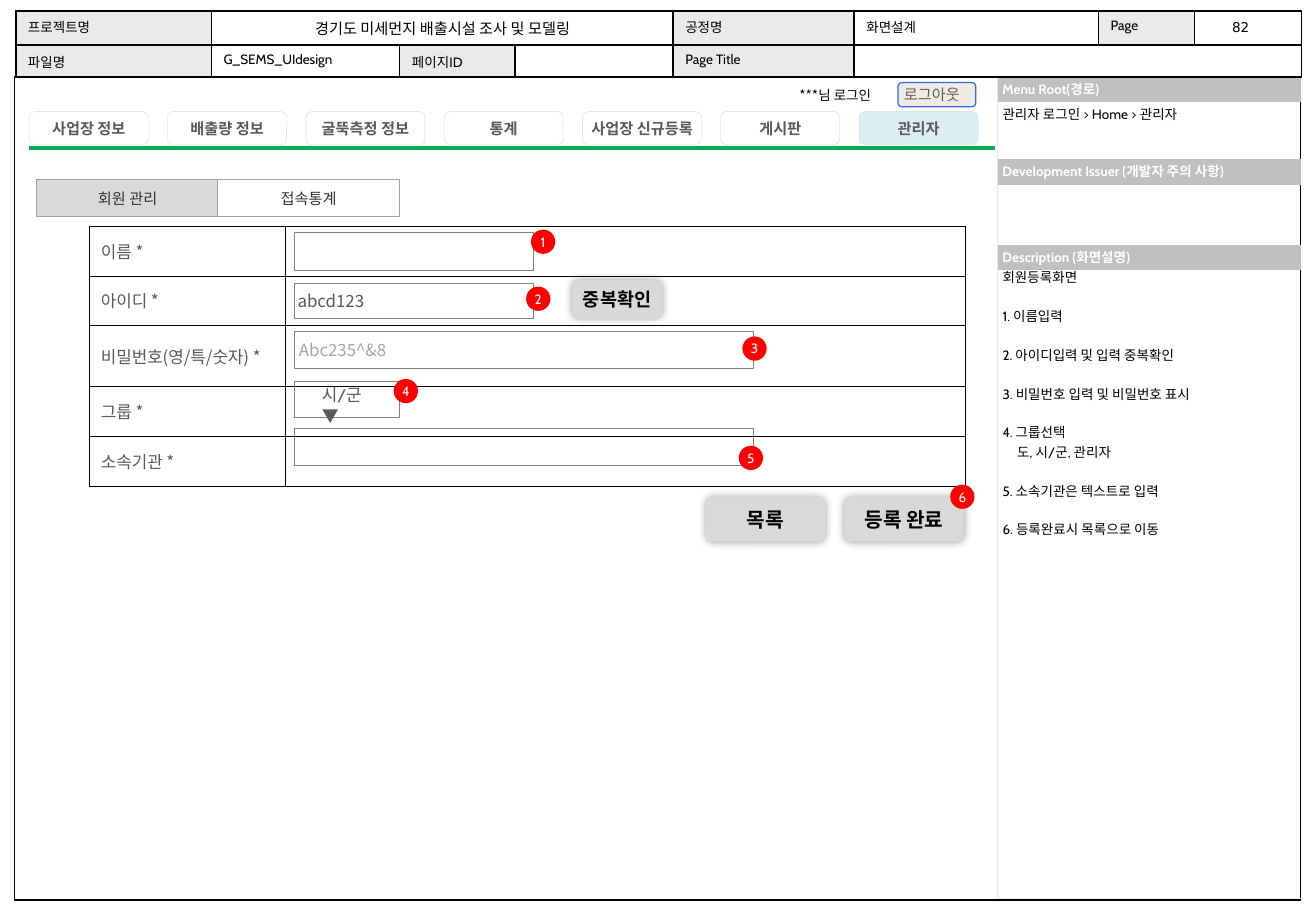
"""Build the member registration screen design page."""
from dataclasses import dataclass

from lxml.etree import SubElement
from pptx import Presentation
from pptx.dml.color import RGBColor
from pptx.enum.shapes import MSO_CONNECTOR, MSO_SHAPE as SHAPE
from pptx.enum.text import MSO_ANCHOR as ANCHOR, PP_ALIGN as ALIGN
from pptx.oxml.ns import qn
from pptx.util import Inches, Pt


@dataclass(frozen=True)
class Theme:
    black: str = "000000"
    white: str = "FFFFFF"
    text: str = "595959"
    tab_text: str = "333333"
    logout_text: str = "5F5F5F"
    hint: str = "A6A6A6"
    label: str = "EAEAEA"
    band: str = "C0C0C0"
    cream: str = "EEECE1"
    button: str = "D9D9D9"
    active: str = "DBEEF4"
    tab_line: str = "A0A0A0"
    field_line: str = "808080"
    blue: str = "3366FF"
    green: str = "00B050"
    red: str = "FF0000"
    small: int = 8
    medium: int = 9
    form: int = 10
    check: int = 11
    large: int = 12
    cabin: str = "Cabin"
    karla: str = "Karla"
    noto: str = "Noto Sans CJK KR"
    dejavu: str = "DejaVu Sans"


theme = Theme()
deck = Presentation()
deck.slide_width, deck.slide_height = Inches(10.83), Inches(7.5)
page = deck.slides.add_slide(deck.slide_layouts[6])


def write(para, text, size, color=theme.black, font=theme.cabin, bold=False, align=ALIGN.LEFT, spacing=None):
    """Fill one paragraph and set its type."""
    para.text = text
    para.alignment = align
    para.line_spacing = spacing
    para.font.size = Pt(size)
    para.font.bold = bold
    para.font.color.rgb = RGBColor.from_string(color)
    para.font.name = font
    SubElement(para._p.pPr.find(qn("a:defRPr")), qn("a:ea"), typeface=theme.noto)
    if not text:
        SubElement(para._p, qn("a:endParaRPr"), sz=str(size * 100))


def draw(kind, place, fill=None, line=None, width=0.5, inset=0.04, wrap=True):
    """Add a shape, or a text box when kind is None, and return it."""
    spot = [Inches(length) for length in place]
    if kind is None:
        box = page.shapes.add_textbox(*spot)
    else:
        box = page.shapes.add_shape(kind, *spot)
        box.shadow.inherit = False
        box.text_frame.vertical_anchor = ANCHOR.MIDDLE
        if fill:
            box.fill.solid()
            box.fill.fore_color.rgb = RGBColor.from_string(fill)
        else:
            box.fill.background()
        if line:
            box.line.color.rgb = RGBColor.from_string(line)
            box.line.width = Pt(width)
        else:
            box.line.fill.background()
    frame = box.text_frame
    frame.word_wrap = wrap
    frame.margin_left = frame.margin_right = Inches(inset)
    frame.margin_top = frame.margin_bottom = Inches(min(inset, 0.05))
    return box


draw(SHAPE.RECTANGLE, (0.12, 0.63, 10.58, 6.78), line=theme.black, width=0.75)

side_rows = [["Menu Root(경로)"], [""], ["Development Issuer (개발자 주의 사항)"], [""],
             ["Description (화면설명)"], [""]]
header_rows = [["프로젝트명", "경기도 미세먼지 배출시설 조사 및 모델링", "", "", "공정명", "화면설계", "Page", ""],
               ["파일명", "G_SEMS_UIdesign", "페이지ID", "", "Page Title", "", "", ""]]
form_rows = [["이름 *", ""], ["아이디 *", "abcd123"], ["비밀번호(영/특/숫자) *", ""], ["그룹 *", ""],
             ["소속기관 *", ""]]
side_type = dict(size=theme.small, color=theme.white, bold=True, spacing=0.75)
header_type = dict(size=theme.small)
form_type = dict(size=theme.form, color=theme.text, font=theme.noto)
labels = {"프로젝트명", "공정명", "Page", "파일명", "페이지ID", "Page Title"}
fills = {**dict.fromkeys(labels, theme.label), **{row[0]: theme.band for row in side_rows if row[0]}}
tables = [
    (side_rows, 8.21, 0.64, [2.5], [0.2, 0.47, 0.21, 0.5, 0.2, 5.17], side_type, "L", theme.cream, 0.25,
     0.04, 0.04, ANCHOR.MIDDLE, []),
    (header_rows, 0.13, 0.09, [1.61, 1.55, 0.95, 1.3, 1.49, 2.01, 0.79, 0.88], [0.28, 0.26], header_type,
     "LRTB", theme.black, 1, 0.1, 0.05, ANCHOR.TOP, [(0, 1, 3), (1, 5, 7)]),
    (form_rows, 0.73, 1.86, [1.62, 5.59], [0.41, 0.41, 0.43, 0.41, 0.41], form_type, "LRTB", theme.black,
     0.25, 0.1, 0.05, ANCHOR.MIDDLE, []),
]
for rows, left, top, widths, heights, type_, sides, ink, weight, pad_x, pad_y, anchor, spans in tables:
    grid = page.shapes.add_table(len(rows), len(widths), Inches(left), Inches(top),
                                 Inches(sum(widths)), Inches(sum(heights))).table
    grid.first_row = grid.horz_banding = False
    for column, width in zip(grid.columns, widths):
        column.width = Inches(width)
    for r, (row, height) in enumerate(zip(rows, heights)):
        grid.rows[r].height = Inches(height)
        for c, text in enumerate(row):
            cell = grid.cell(r, c)
            cell.vertical_anchor = anchor
            cell.margin_left = cell.margin_right = Inches(pad_x)
            cell.margin_top = cell.margin_bottom = Inches(pad_y)
            drawn = sides + ("B" if r == len(rows) - 1 else "")
            for side in "LRTB":
                edge = SubElement(cell._tc.get_or_add_tcPr(), qn(f"a:ln{side}"), w=str(Pt(weight)))
                if side in drawn:
                    SubElement(SubElement(edge, qn("a:solidFill")), qn("a:srgbClr"), val=ink)
                else:
                    SubElement(edge, qn("a:noFill"))
            if text in fills:
                cell.fill.solid()
                cell.fill.fore_color.rgb = RGBColor.from_string(fills[text])
            else:
                cell.fill.background()
            write(cell.text_frame.paragraphs[0], text, **type_)
    for r, first, last in spans:
        grid.cell(r, first).merge(grid.cell(r, last))
        if rows[r][first]:
            title = grid.cell(r, first).text_frame.paragraphs[0]
            title.alignment, title.font.size = ALIGN.CENTER, Pt(theme.medium)

number = draw(None, (10.1, 0.05, 0.27, 0.25), wrap=False)
write(number.text_frame.paragraphs[0], "82", theme.small, font=theme.dejavu, spacing=1.5)
login = draw(None, (6.48, 0.67, 0.83, 0.24), inset=0.1, wrap=False)
write(login.text_frame.paragraphs[0], "***님 로그인", theme.small, font=theme.noto)
logout = draw(SHAPE.ROUNDED_RECTANGLE, (7.39, 0.68, 0.64, 0.2), theme.cream, theme.blue, 0.75)
write(logout.text_frame.paragraphs[0], "로그아웃", theme.medium, theme.logout_text, theme.karla)

rule = page.shapes.add_connector(MSO_CONNECTOR.STRAIGHT, Inches(0.24), Inches(1.22), Inches(8.19), Inches(1.22))
rule.line.color.rgb = RGBColor.from_string(theme.green)
rule.line.width = Pt(2.5)
SubElement(rule._element.spPr, qn("a:effectLst"))

menu = ["사업장 정보", "배출량 정보", "굴뚝측정 정보", "통계", "사업장 신규등록", "게시판", "관리자"]
for i, name in enumerate(menu):
    item = draw(SHAPE.ROUNDED_RECTANGLE, (0.24 + 6.83 * i / 6, 0.92, 0.98, 0.27),
                theme.active if name == "관리자" else None, theme.button, 0.25, wrap=name != "사업장 신규등록")
    write(item.text_frame.paragraphs[0], name, theme.medium, theme.text, bold=True, align=ALIGN.CENTER)

for name, left, fill in [("회원 관리", 0.3, theme.button), ("접속통계", 1.79, theme.white)]:
    tab = draw(SHAPE.RECTANGLE, (left, 1.48, 1.5, 0.3), fill, theme.tab_line, inset=0)
    write(tab.text_frame.paragraphs[0], name, theme.medium, theme.tab_text, theme.karla, align=ALIGN.CENTER)

route = draw(None, (8.21, 0.81, 2.48, 0.23))
write(route.text_frame.paragraphs[0], "관리자 로그인 > Home > 관리자", theme.small, spacing=1.2)
guide = draw(None, (8.21, 2.15, 2.48, 2.49)).text_frame
steps = ["회원등록화면", "1. 이름입력", "2. 아이디입력 및 입력 중복확인", "3. 비밀번호 입력 및 비밀번호 표시",
         "4. 그룹선택", "도, 시/군, 관리자", "5. 소속기관은 텍스트로 입력", "6. 등록완료시 목록으로 이동"]
for i, step in enumerate(steps):
    para = guide.add_paragraph() if i else guide.paragraphs[0]
    write(para, step, theme.small, spacing=1.2)
    if step.startswith("도"):
        para._p.pPr.set("marL", str(Inches(0.12)))
    elif i:
        para.space_before = Pt(11.5)

buttons = [("등록 완료", (6.95, 4.09, 0.98, 0.37), theme.large), ("중복확인", (4.71, 2.31, 0.74, 0.31), theme.check),
           ("목록", (5.81, 4.09, 0.98, 0.37), theme.large)]
for name, place, size in buttons:
    button = draw(SHAPE.ROUNDED_RECTANGLE, place, theme.button, theme.button, 0.25)
    write(button.text_frame.paragraphs[0], name, size, bold=True, align=ALIGN.CENTER)
    effects = button._element.spPr.find(qn("a:effectLst"))
    glow = SubElement(effects, qn("a:outerShdw"), blurRad=str(Pt(5)), dist="0", dir="0")
    SubElement(SubElement(glow, qn("a:srgbClr"), val=theme.black), qn("a:alpha"), val="36000")

for top, width, height, hint in [(1.91, 1.97, 0.32, ""), (2.33, 1.97, 0.29, ""), (3.14, 0.87, 0.3, ""),
                                 (2.73, 3.78, 0.3, "Abc235^&8"), (3.53, 3.78, 0.3, "")]:
    field = draw(SHAPE.RECTANGLE, (2.42, top, width, height), line=theme.field_line)
    if hint:
        write(field.text_frame.paragraphs[0], hint, theme.form, theme.hint, theme.noto)
group = draw(None, (2.55, 3.12, 0.78, 0.27), inset=0.1)
write(group.text_frame.paragraphs[0], "시/군\v▼", theme.form, theme.text)

badges = [(4.37, 1.89), (4.33, 2.36), (6.11, 2.77), (3.24, 3.12), (6.08, 3.67), (7.82, 3.99)]
for i, (left, top) in enumerate(badges, 1):
    badge = draw(SHAPE.OVAL, (left, top, 0.2, 0.2), theme.red)
    write(badge.text_frame.paragraphs[0], str(i), theme.small, theme.white, align=ALIGN.CENTER)

deck.save("out.pptx")
